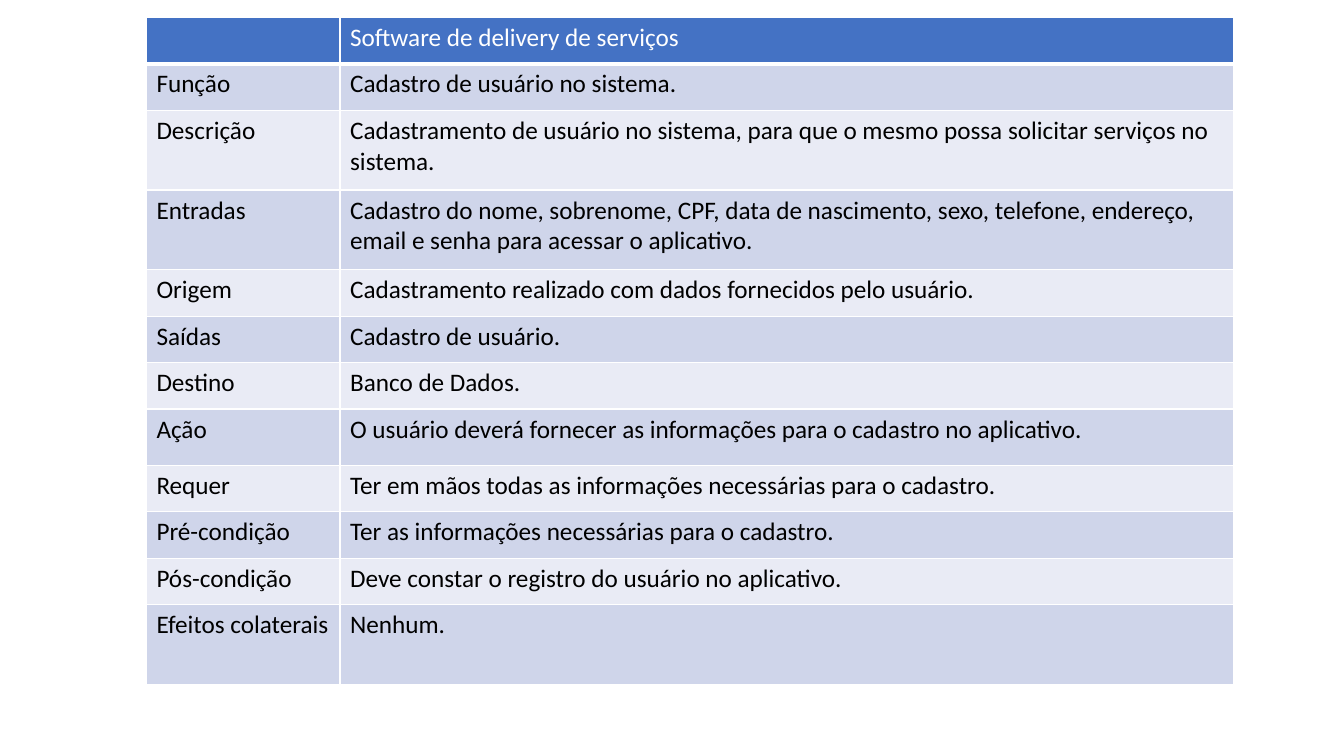
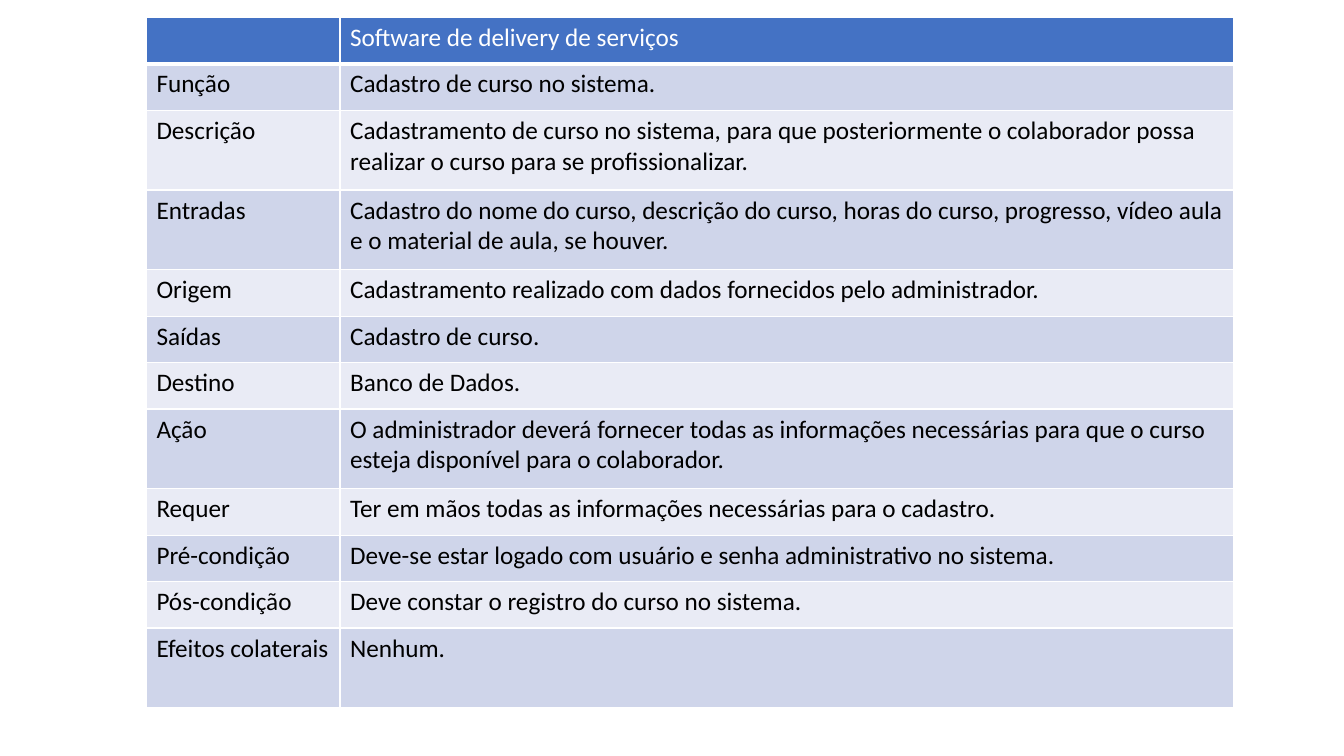
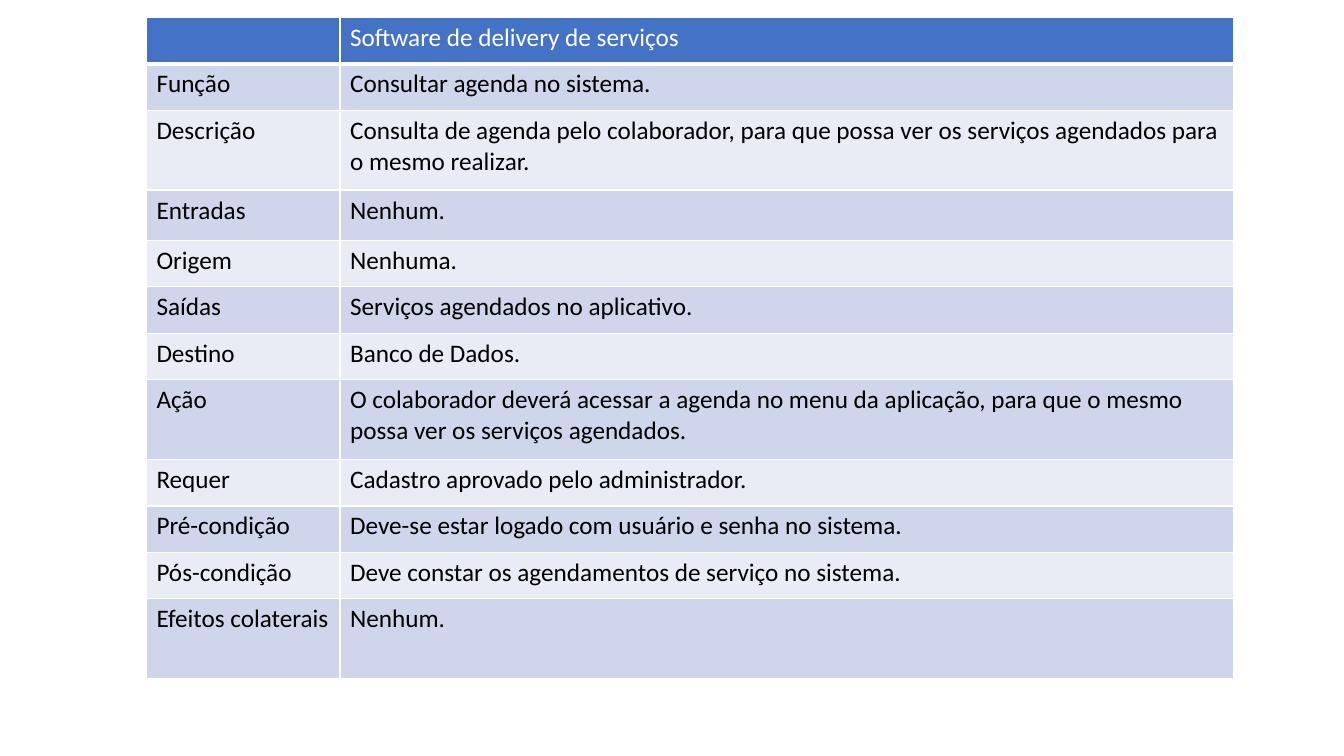
from lxml.etree import SubElement as Sub
from pptx import Presentation
from pptx.dml.color import RGBColor as Rgb
from pptx.oxml.ns import qn
from pptx.util import Cm, Pt

# Shared style
FONT, SIZE = "Calibri", 18
HEAD, DARK, LIGHT = "4472C4", "CFD5EA", "E9EBF5"
WHITE, BLACK = "FFFFFF", "000000"

# Shared grid, in centimetres
BOX = (3.69, 0.44, 27.41)  # left, top, width
LABEL_W = 4.88
ONE, TWO = 1.17, 2.01  # heights of one-line and two-line rows

TITLE = "Software de delivery de serviços"
LABELS = ["Função", "Descrição", "Entradas", "Origem", "Saídas", "Destino",
          "Ação", "Requer", "Pré-condição", "Pós-condição",
          "Efeitos colaterais"]
TALL = {"Descrição", "Entradas", "Ação", "Efeitos colaterais"}

# Each slide: values in label order, then its own row heights
SPECS = [
    (["Cadastro de usuário no sistema.",
      "Cadastramento de usuário no sistema, para que o mesmo possa solicitar "
      "serviços no sistema.",
      "Cadastro do nome, sobrenome, CPF, data de nascimento, sexo, telefone, "
      "endereço, email e senha para acessar o aplicativo.",
      "Cadastramento realizado com dados fornecidos pelo usuário.",
      "Cadastro de usuário.",
      "Banco de Dados.",
      "O usuário deverá fornecer as informações para o cadastro no aplicativo.",
      "Ter em mãos todas as informações necessárias para o cadastro.",
      "Ter as informações necessárias para o cadastro.",
      "Deve constar o registro do usuário no aplicativo.",
      "Nenhum."], {"Ação": 1.42}),
    (["Cadastro de curso no sistema.",
      "Cadastramento de curso no sistema, para que posteriormente o "
      "colaborador possa realizar o curso para se profissionalizar.",
      "Cadastro do nome do curso, descrição do curso, horas do curso, "
      "progresso, vídeo aula e o material de aula, se houver.",
      "Cadastramento realizado com dados fornecidos pelo administrador.",
      "Cadastro de curso.",
      "Banco de Dados.",
      "O administrador deverá fornecer todas as informações necessárias para "
      "que o curso esteja disponível para o colaborador.",
      "Ter em mãos todas as informações necessárias para o cadastro.",
      "Deve-se estar logado com usuário e senha administrativo no sistema.",
      "Deve constar o registro do curso no sistema.",
      "Nenhum."], {}),
    (["Consultar agenda no sistema.",
      "Consulta de agenda pelo colaborador, para que possa ver os serviços "
      "agendados para o mesmo realizar.",
      "Nenhum.",
      "Nenhuma.",
      "Serviços agendados no aplicativo.",
      "Banco de Dados.",
      "O colaborador deverá acessar a agenda no menu da aplicação, para que o "
      "mesmo possa ver os serviços agendados.",
      "Cadastro aprovado pelo administrador.",
      "Deve-se estar logado com usuário e senha no sistema.",
      "Deve constar os agendamentos de serviço no sistema.",
      "Nenhum."], {"Entradas": 1.27}),
]


def color(code):
    return Rgb.from_string(code)


def write(frame, text, size=SIZE, ink=BLACK, bold=False):
    """Put formatted text in a frame."""
    para = frame.paragraphs[0]
    para.font.size = Pt(size)
    if text:
        run = para.add_run()
        run.text = text
        font = run.font
        font.name, font.size, font.bold = FONT, Pt(size), bold
        font.color.rgb = color(ink)


def edge(cell, base=1):
    """Draw white cell borders; base is the width of the bottom one."""
    props = cell._tc.get_or_add_tcPr()
    for side, width in zip("LRTB", (1, 1, 1, base)):
        line = Sub(props, qn(f"a:ln{side}"), w=str(Pt(width)))
        fill = Sub(line, qn("a:solidFill"))
        Sub(fill, qn("a:srgbClr"), val=WHITE)


def paint(cell, text, back, ink=BLACK, base=1):
    """Finish one cell: borders, fill and text."""
    edge(cell, base)
    cell.fill.solid()
    cell.fill.fore_color.rgb = color(back)
    write(cell.text_frame, text, ink=ink)


def sheet(slide, box, values, heights):
    """Build the requirement table in the given box."""
    left, top, width = box
    rows = [("", TITLE), *zip(LABELS, values)]
    sizes = [ONE] + [heights.get(name, TWO if name in TALL else ONE)
                     for name in LABELS]
    table = slide.shapes.add_table(
        len(rows), 2, Cm(left), Cm(top), Cm(width), Cm(sum(sizes))).table
    for col, wide in zip(table.columns, (LABEL_W, width - LABEL_W)):
        col.width = Cm(wide)
    for i, (pair, high) in enumerate(zip(rows, sizes)):
        table.rows[i].height = Cm(high)
        # Header row first, then alternating bands
        if i == 0:
            look = dict(back=HEAD, ink=WHITE, base=3)
        else:
            look = dict(back=DARK if i % 2 else LIGHT)
        for j, text in enumerate(pair):
            paint(table.cell(i, j), text, **look)


deck = Presentation()
deck.slide_width, deck.slide_height = Cm(33.87), Cm(19.05)
blank = deck.slide_layouts[6]
for values, heights in SPECS:
    sheet(deck.slides.add_slide(blank), BOX, values, heights)
deck.save("out.pptx")
